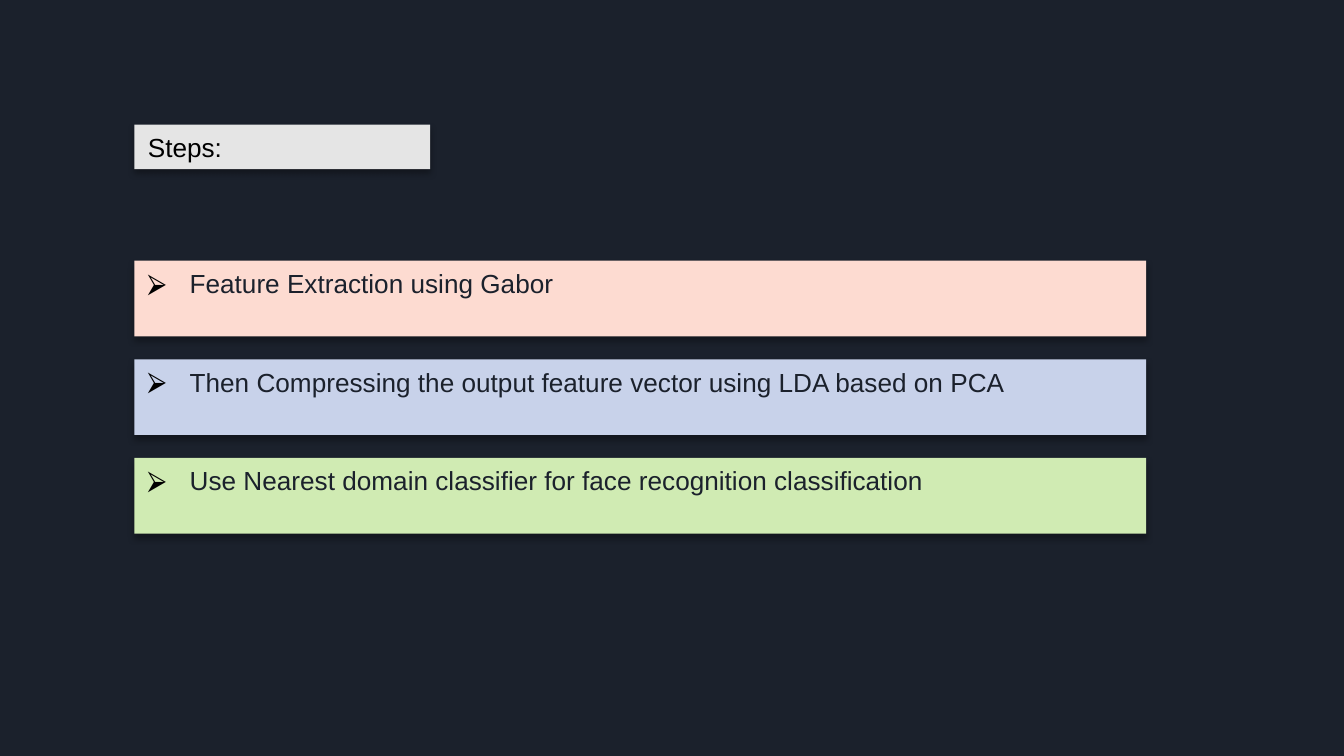
import pptx
import pptx.dml.color
import pptx.enum.shapes
import pptx.enum.text
import pptx.oxml
import pptx.oxml.ns
import pptx.util
import lxml.etree

Pt = pptx.util.Pt
BACKGROUND = "1B212C"
BLACK = "000000"
LEFT = 72
STEP_TOP = 139.7
STEP_PITCH = 52.8
STEPS = [
    ("Feature Extraction using Gabor", "FDDBD1"),
    ("Then Compressing the output feature vector using LDA based on PCA", "C8D2EA"),
    ("Use Nearest domain classifier for face recognition classification", "D0EBB3"),
]


def color(value):
    return pptx.dml.color.RGBColor.from_string(value)


class StepSlide:
    font = "Arial"
    size = 14
    indent = 22.5

    def __init__(self, page):
        self.page = page
        fill = page.background.fill
        fill.solid()
        fill.fore_color.rgb = color(BACKGROUND)

    def style_box(self, box, fill):
        box.fill.solid()
        box.fill.fore_color.rgb = color(fill)
        box.line.fill.background()
        box.shadow.inherit = False
        effects = box._element.spPr.find(pptx.oxml.ns.qn("a:effectLst"))
        effects.append(pptx.oxml.parse_xml(
            f'<a:outerShdw {pptx.oxml.ns.nsdecls("a")} blurRad="{Pt(3.5)}" '
            f'dist="{Pt(2.2)}" dir="5400000" algn="t" rotWithShape="0">'
            f'<a:srgbClr val="{BLACK}"><a:alpha val="32000"/></a:srgbClr></a:outerShdw>'))

    def add_text(self, box, text, text_color):
        frame = box.text_frame
        frame.word_wrap = True
        frame.auto_size = pptx.enum.text.MSO_AUTO_SIZE.NONE
        frame.vertical_anchor = pptx.enum.text.MSO_ANCHOR.TOP
        frame.margin_left = frame.margin_right = Pt(7.2)
        frame.margin_top = frame.margin_bottom = Pt(3.6)
        para = frame.paragraphs[0]
        para.alignment = pptx.enum.text.PP_ALIGN.LEFT
        span = para.add_run()
        span.text = text
        span.font.name = self.font
        span.font.size = Pt(self.size)
        span.font.color.rgb = color(text_color)
        return para

    def add_bullet(self, para):
        properties = para._p.get_or_add_pPr()
        properties.set("marL", str(Pt(self.indent)))
        properties.set("indent", str(-Pt(self.indent)))
        qn = pptx.oxml.ns.qn
        bullet_color = lxml.etree.SubElement(properties, qn("a:buClr"))
        lxml.etree.SubElement(bullet_color, qn("a:srgbClr"), val=BLACK)
        lxml.etree.SubElement(properties, qn("a:buFont"), typeface=self.font)
        lxml.etree.SubElement(properties, qn("a:buChar"), char="⮚")

    def add_title(self, text, left, top, width, height, fill):
        box = self.page.shapes.title
        box.left, box.top, box.width, box.height = map(Pt, (left, top, width, height))
        self.style_box(box, fill)
        self.add_text(box, text, BLACK)

    def add_step(self, text, left, top, width, height, fill):
        box = self.page.shapes.add_shape(
            pptx.enum.shapes.MSO_SHAPE.RECTANGLE, *map(Pt, (left, top, width, height)))
        self.style_box(box, fill)
        self.add_bullet(self.add_text(box, text, BACKGROUND))


def main():
    deck = pptx.Presentation()
    deck.slide_width, deck.slide_height = Pt(720), Pt(405)
    slide = StepSlide(deck.slides.add_slide(deck.slide_layouts[5]))
    slide.add_title("Steps:", LEFT, 66.8, 158.4, 23.8, "E5E5E5")
    for index, (text, fill) in enumerate(STEPS):
        slide.add_step(text, LEFT, STEP_TOP + index * STEP_PITCH, 542, 40.6, fill)
    deck.save("out.pptx")


if __name__ == "__main__":
    main()
